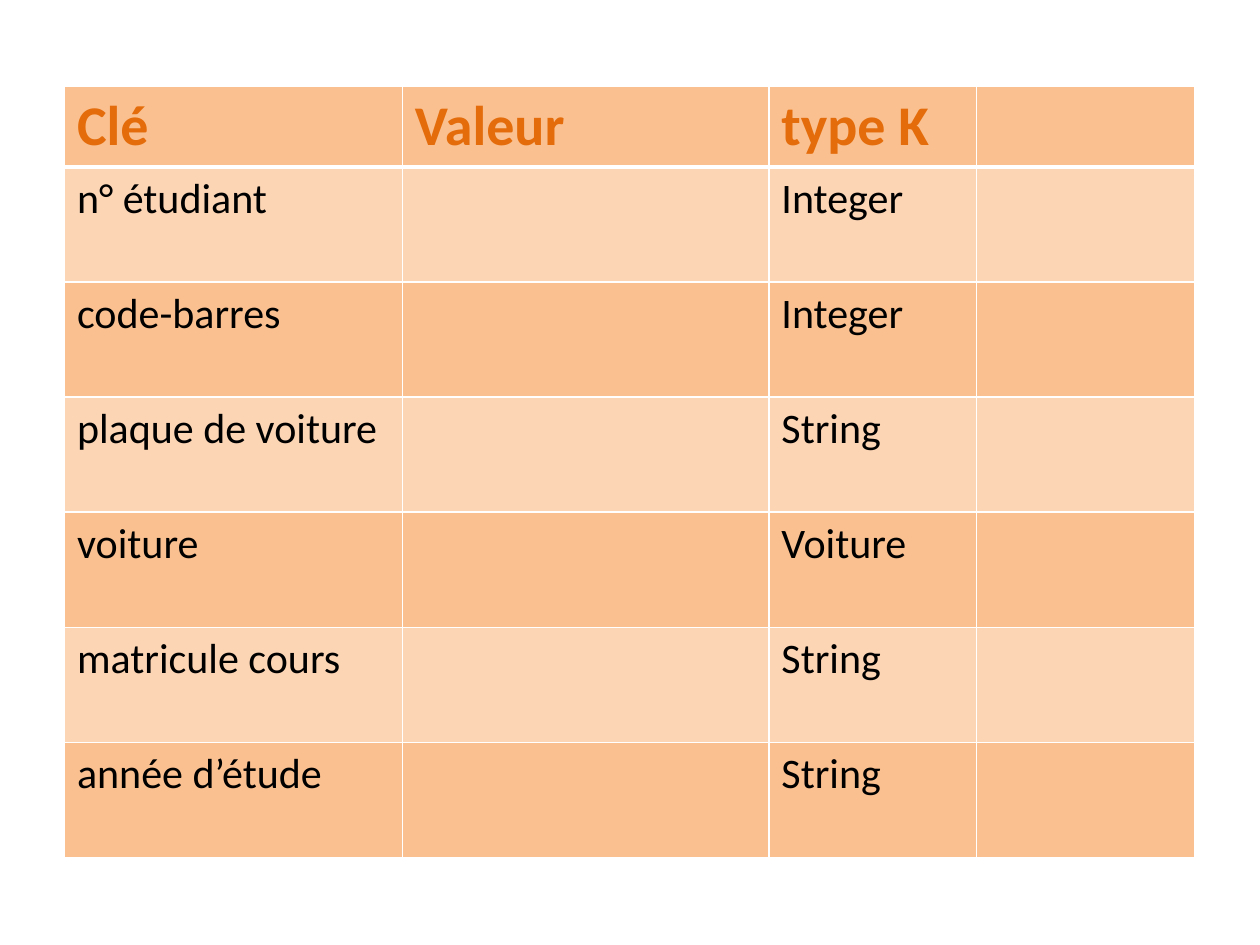
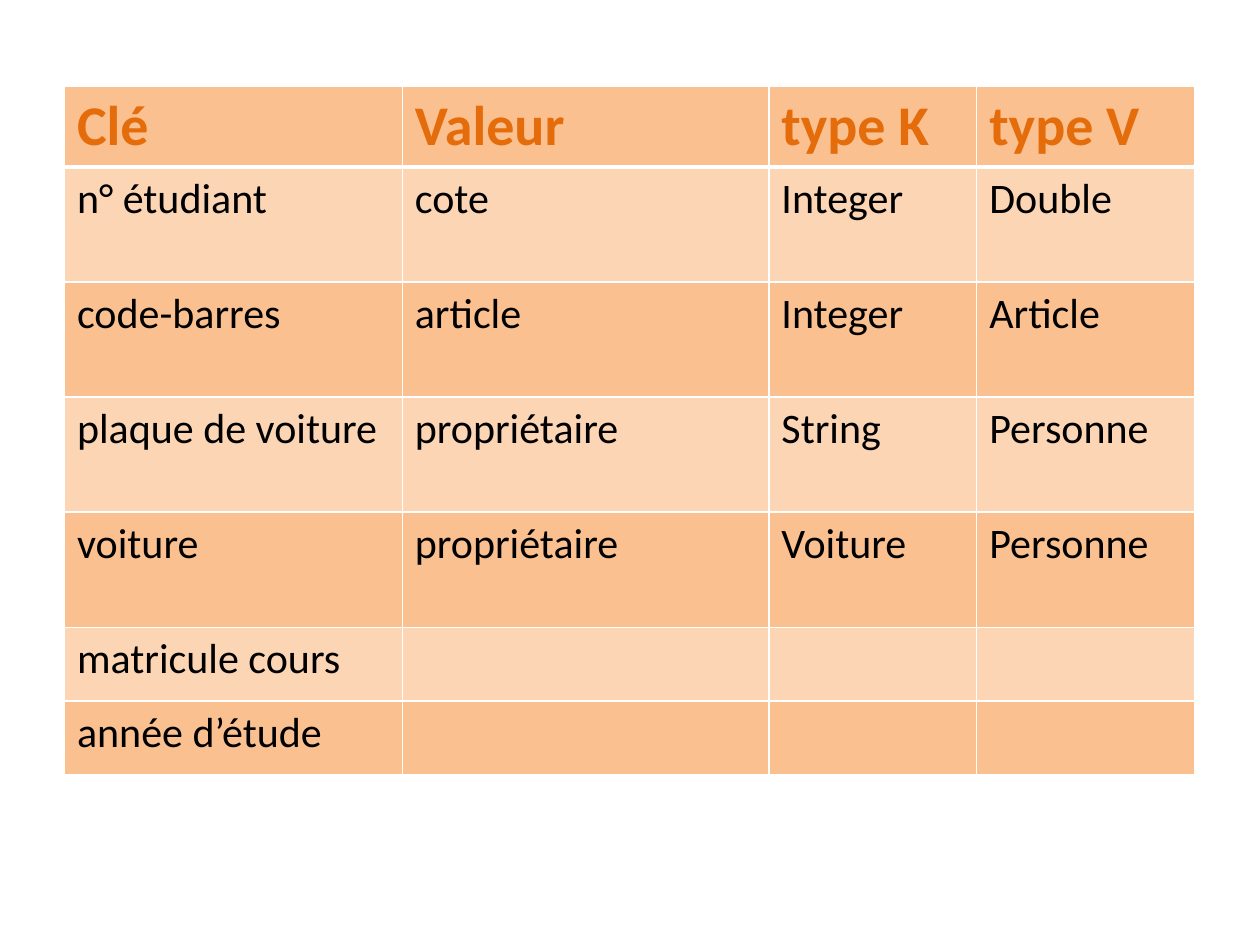
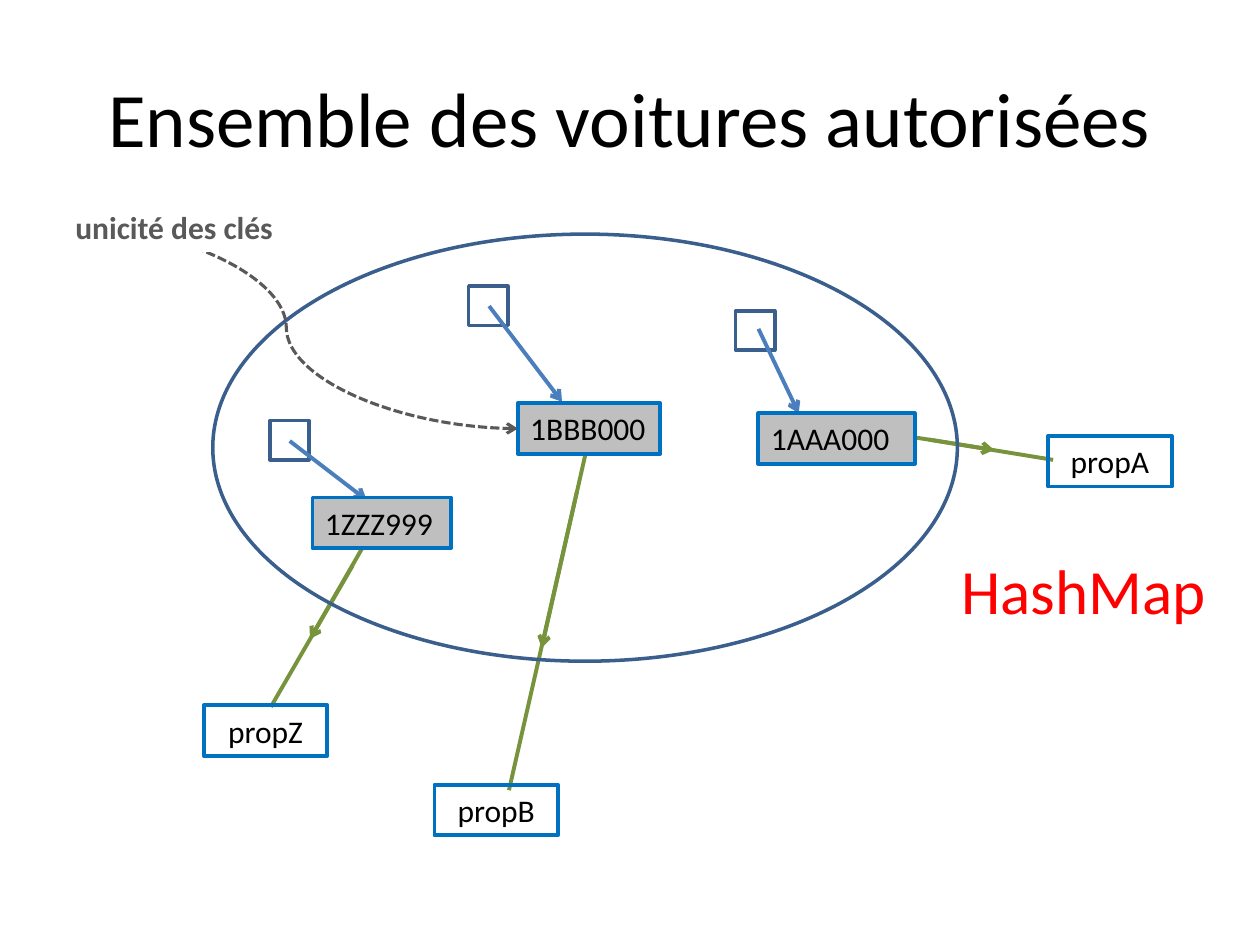
"""Build three slides on maps: two key/value tables and a diagram of allowed cars."""
from typing import NamedTuple, Optional

from lxml.etree import SubElement
from pptx import Presentation
from pptx.dml.color import RGBColor
from pptx.enum.dml import MSO_LINE as Dash
from pptx.enum.shapes import MSO_CONNECTOR as Link, MSO_SHAPE as Kind
from pptx.enum.text import MSO_ANCHOR as Anchor, MSO_AUTO_SIZE as Fit, PP_ALIGN as Align
from pptx.oxml.ns import qn
from pptx.util import Cm, Pt

FONT = "Calibri"
BLACK = RGBColor(0x00, 0x00, 0x00)
WHITE = RGBColor(0xFF, 0xFF, 0xFF)
RED = RGBColor(0xFF, 0x00, 0x00)
GRAY = RGBColor(0x59, 0x59, 0x59)
SILVER = RGBColor(0xBF, 0xBF, 0xBF)
GREEN = RGBColor(0x77, 0x93, 0x3C)
NAVY = RGBColor(0x3A, 0x5F, 0x8C)
BLUE = RGBColor(0x4B, 0x7E, 0xBC)
AZURE = RGBColor(0x00, 0x70, 0xC0)
RUST = RGBColor(0xE4, 0x6C, 0x0A)
PEACH = RGBColor(0xFA, 0xC0, 0x90)
CREAM = RGBColor(0xFC, 0xD5, 0xB5)

COLS = (6.81, 7.39, 4.19, 4.4)
HEAD, TALL, SHORT = 1.63, 2.32, 1.49
SIDE, BAR, PROP = 0.79, 1.02, 2.49
KEYS = ("n° étudiant", "code-barres", "plaque de voiture", "voiture",
        "matricule cours", "année d’étude")


class Grid(NamedTuple):
    """The cells of a table, with the height of each row."""
    rows: list[tuple[str, ...]]
    highs: list[float]


class Box(NamedTuple):
    """A shape with its place, colours and text."""
    x: float
    y: float
    w: float
    h: float
    text: str = ""
    fill: Optional[RGBColor] = None
    line: Optional[RGBColor] = AZURE
    width: float = 2.25
    kind: Kind = Kind.RECTANGLE
    align: Align = Align.LEFT
    size: float = 18
    ink: RGBColor = BLACK
    bold: bool = False
    wrap: bool = True


class Wire(NamedTuple):
    """A line between two points."""
    x1: float
    y1: float
    x2: float
    y2: float
    ink: RGBColor = GREEN
    tip: bool = True


def key(x: float, y: float, w: float, text: str) -> Box:
    """Return the box of a number plate."""
    return Box(x, y, w, BAR, text, SILVER)


def prop(x: float, y: float, text: str) -> Box:
    """Return the box of an owner."""
    return Box(x, y, PROP, BAR, text, align=Align.CENTER)


def node(x: float, y: float) -> Box:
    """Return a small square of the set."""
    return Box(x, y, SIDE, SIDE, line=NAVY, width=2)


GRIDS = (
    Grid([("Clé", "Valeur", "type K", ""),
          *((name, "", kind, "") for name, kind in zip(
              KEYS, ("Integer", "Integer", "String", "Voiture", "String", "String")))],
         [HEAD] + [TALL] * 6),
    Grid([("Clé", "Valeur", "type K", "type V"),
          (KEYS[0], "cote", "Integer", "Double"),
          (KEYS[1], "article", "Integer", "Article"),
          (KEYS[2], "propriétaire", "String", "Personne"),
          (KEYS[3], "propriétaire", "Voiture", "Personne"),
          (KEYS[4], "", "", ""),
          (KEYS[5], "", "", "")],
         [HEAD] + [TALL] * 4 + [SHORT] * 2),
)
OWNS = (
    Wire(7.32, 11.02, 6.25, 12.88), Wire(7.11, 11.4, 5.46, 14.25, tip=False),
    Wire(11.81, 9.12, 10.92, 13.06), Wire(11.63, 9.91, 10.26, 15.93, tip=False),
    Wire(18.39, 8.81, 20.04, 9.07), Wire(18.72, 8.86, 21.23, 9.27, tip=False),
)
SET = (
    Box(19.13, 11, 5.49, 1.8, "HashMap", line=None, size=36, ink=RED, wrap=False),
    Box(4.29, 4.72, 15.01, 8.61, line=NAVY, width=2, kind=Kind.OVAL),
    node(5.44, 8.48), node(14.83, 6.27), node(9.45, 5.77),
)
REFS = (
    Wire(15.29, 6.63, 16.1, 8.33, BLUE),
    Wire(9.86, 6.17, 11.33, 8.1, BLUE),
    Wire(5.84, 8.89, 7.39, 10.08, BLUE),
)
PAIRS = (
    key(6.3, 10.03, 2.79, "1ZZZ999"), prop(4.11, 14.22, "propZ"),
    key(10.44, 8.13, 2.87, "1BBB000"), prop(8.76, 15.82, "propB"),
    key(15.29, 8.33, 3.15, "1AAA000"), prop(21.13, 8.79, "propA"),
)
CURVE = Wire(1.5, 4.57, 10.44, 8.64, GRAY)
NOTE = Box(1.27, 4.06, 4.52, BAR, "unicité des clés", WHITE, None,
           ink=GRAY, bold=True, wrap=False)


def style(para, size: float, ink: RGBColor, bold: bool = False) -> None:
    """Set the font of a paragraph."""
    font = para.font
    font.name, font.size, font.bold = FONT, Pt(size), bold
    font.color.rgb = ink


def edge(cell, side: str, width: float) -> None:
    """Add a white border to one side of a cell."""
    line = SubElement(cell._tc.get_or_add_tcPr(), qn(f"a:ln{side}"), w=str(Pt(width)))
    fill = SubElement(line, qn("a:solidFill"))
    SubElement(fill, qn("a:srgbClr"), val=str(WHITE))


def draw_grid(slide, grid: Grid) -> None:
    """Draw a table with a header and banded rows."""
    table = slide.shapes.add_table(
        len(grid.rows), len(COLS), Cm(1.3), Cm(1.73),
        Cm(sum(COLS)), Cm(sum(grid.highs))).table
    table.horz_banding = False
    for col, wide in zip(table.columns, COLS):
        col.width = Cm(wide)
    for r, (row, high) in enumerate(zip(grid.rows, grid.highs)):
        table.rows[r].height = Cm(high)
        for c, text in enumerate(row):
            cell = table.cell(r, c)
            for side in "LRTB":
                edge(cell, side, 3 if (r, side) in ((0, "B"), (1, "T")) else 1)
            cell.fill.solid()
            cell.fill.fore_color.rgb = CREAM if r % 2 else PEACH
            cell.text = text
            para = cell.text_frame.paragraphs[0]
            if r == 0:
                style(para, 32, RUST, True)
            else:
                style(para, 24, BLACK)


def draw_box(slide, box: Box) -> None:
    """Draw a shape and its text."""
    shape = slide.shapes.add_shape(box.kind, Cm(box.x), Cm(box.y), Cm(box.w), Cm(box.h))
    shape.shadow.inherit = False
    if box.fill is None:
        shape.fill.background()
    else:
        shape.fill.solid()
        shape.fill.fore_color.rgb = box.fill
    if box.line is None:
        shape.line.fill.background()
    else:
        shape.line.color.rgb = box.line
        shape.line.width = Pt(box.width)
    if box.text:
        frame = shape.text_frame
        frame.text = box.text
        frame.word_wrap = box.wrap
        frame.auto_size = Fit.SHAPE_TO_FIT_TEXT
        frame.vertical_anchor = Anchor.TOP
        para = frame.paragraphs[0]
        para.alignment = box.align
        style(para, box.size, box.ink, box.bold)


def draw_wire(slide, wire: Wire, bend: Optional[int] = None) -> None:
    """Draw a straight line, or a dashed curve when a bend is given."""
    link = slide.shapes.add_connector(
        Link.STRAIGHT if bend is None else Link.CURVE,
        Cm(wire.x1), Cm(wire.y1), Cm(wire.x2), Cm(wire.y2))
    line = link.line
    line.color.rgb = wire.ink
    line.width = Pt(2.25)
    props = link._element.spPr
    if bend is not None:
        line.width = Pt(1.75)
        line.dash_style = Dash.SQUARE_DOT
        guides = props.find(f".//{qn('a:avLst')}")
        SubElement(guides, qn("a:gd"), name="adj1", fmla=f"val {bend}")
    if wire.tip:
        SubElement(props.find(qn("a:ln")), qn("a:tailEnd"), type="arrow")
    SubElement(props, qn("a:effectLst"))


def draw_title(slide, text: str) -> None:
    """Place and format the title."""
    title = slide.shapes.title
    title.left, title.top, title.width, title.height = Cm(1.27), Cm(0.76), Cm(22.86), Cm(3.18)
    title.text_frame.text = text
    title.text_frame.vertical_anchor = Anchor.MIDDLE
    para = title.text_frame.paragraphs[0]
    para.alignment = Align.CENTER
    style(para, 44, BLACK)


def draw_cars(slide) -> None:
    """Draw the set of cars, their plates and their owners."""
    draw_title(slide, "Ensemble des voitures autorisées")
    for wire in OWNS:
        draw_wire(slide, wire)
    for box in SET:
        draw_box(slide, box)
    for wire in REFS:
        draw_wire(slide, wire)
    for box in PAIRS:
        draw_box(slide, box)
    draw_wire(slide, CURVE, 47800)
    draw_box(slide, NOTE)


def main() -> None:
    """Build and save the slides."""
    deck = Presentation()
    deck.slide_width, deck.slide_height = Cm(25.4), Cm(19.05)
    plain = deck.slide_layouts.get_by_name("Blank")
    titled = deck.slide_layouts.get_by_name("Title Only")
    for grid in GRIDS:
        draw_grid(deck.slides.add_slide(plain), grid)
    draw_cars(deck.slides.add_slide(titled))
    deck.save("out.pptx")


if __name__ == "__main__":
    main()
